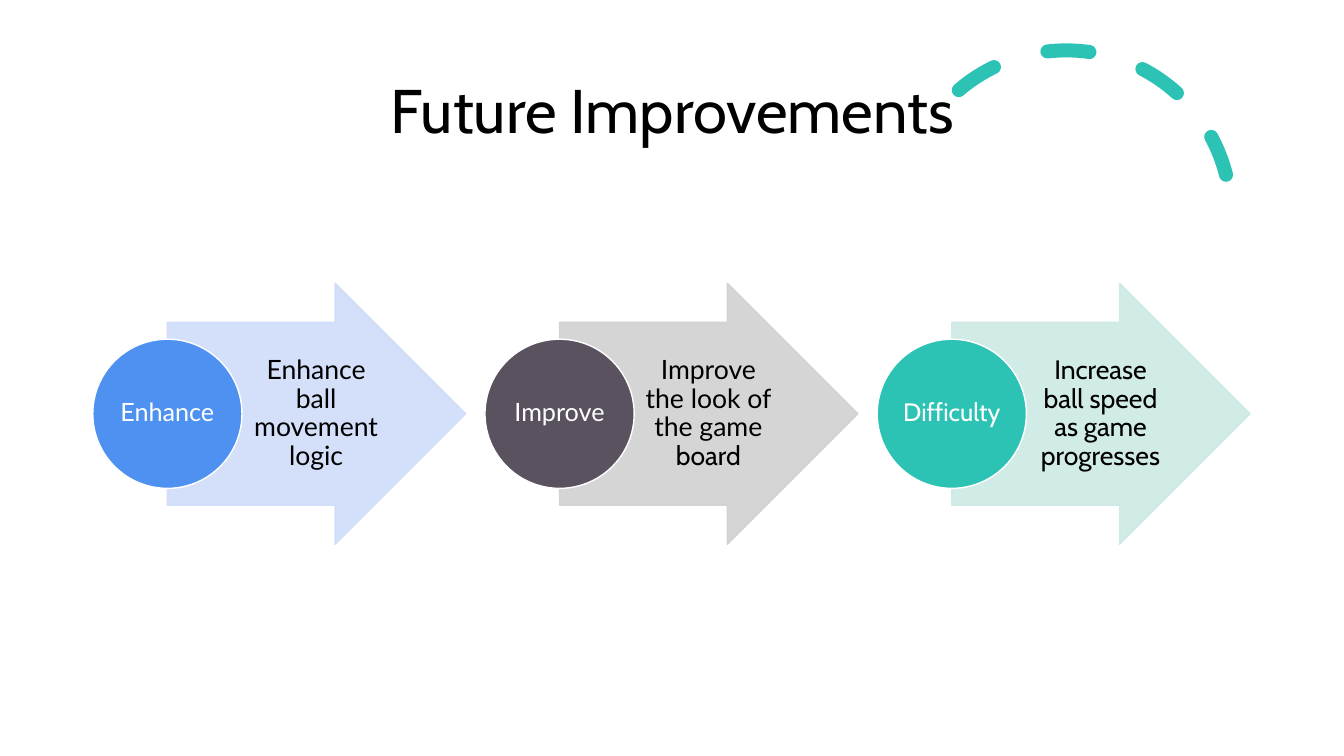
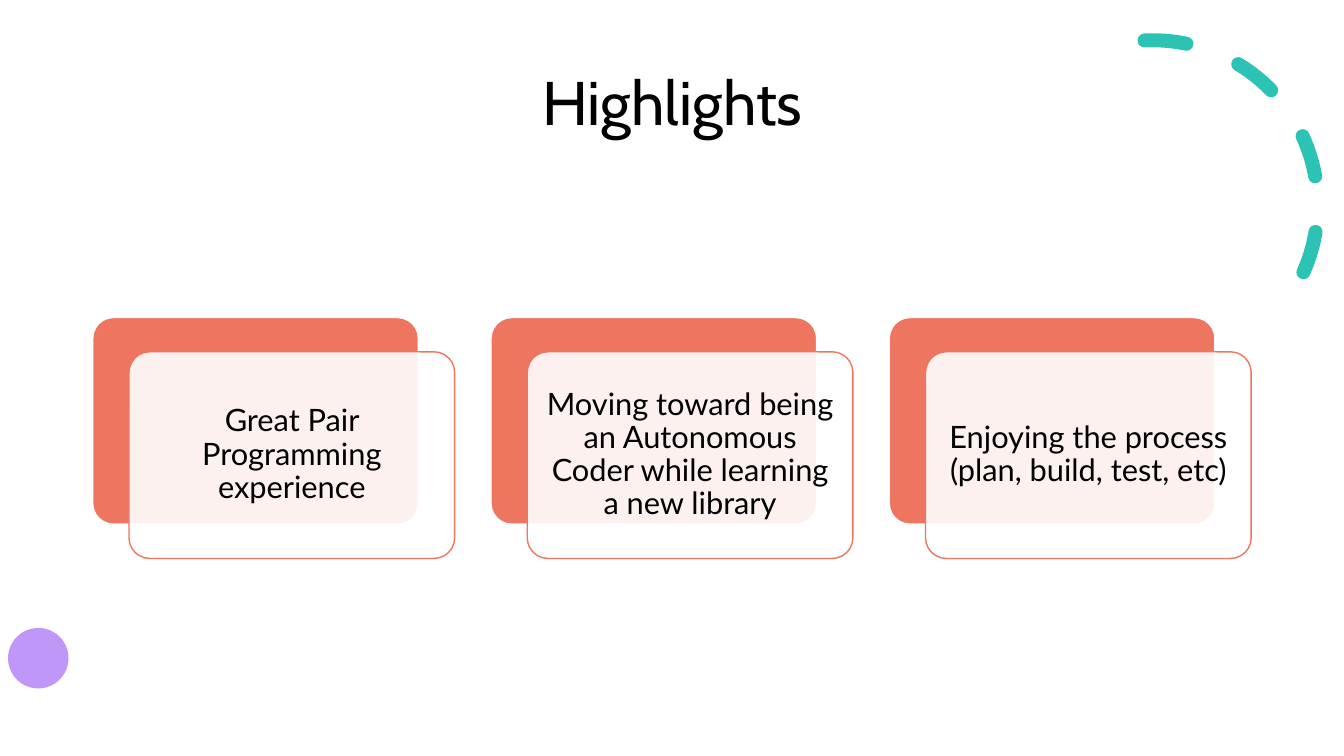
from lxml.etree import SubElement
from pptx import Presentation
from pptx.dml.color import RGBColor
from pptx.enum.dml import MSO_LINE
from pptx.enum.shapes import MSO_SHAPE
from pptx.enum.text import MSO_ANCHOR, PP_ALIGN
from pptx.oxml.ns import qn
from pptx.util import Inches, Pt

COLORS = {
    "black": "000000", "white": "FFFFFF", "teal": "2CC3B4",
    "blue": "4E91F0", "plum": "5B5260", "coral": "EE7661", "lilac": "C097F8",
    "pale blue": "D0DCF9", "pale plum": "D2D1D2", "pale teal": "CDE9E5",
}
HEAD_FONT, BODY_FONT = "Cabin", "Lato"
LEFT = 0.92
CONTENT_WIDTH = 11.5

# circle colour, arrow colour, (label, font), runs of the description
STEPS = [
    ("blue", "pale blue", ("Enhance", BODY_FONT),
     [("Enhance ball movement logic", BODY_FONT)]),
    ("plum", "pale plum", ("Improve", BODY_FONT),
     [("Improve the look of the game ", BODY_FONT), ("board", HEAD_FONT)]),
    ("teal", "pale teal", ("Difficulty", HEAD_FONT),
     [("Increase ball speed as game progresses", HEAD_FONT)]),
]
HIGHLIGHTS = [
    "Great Pair Programming experience",
    "Moving toward being an\u00a0Autonomous Coder while learning a\u00a0new library",
    "Enjoying the process (plan, build,\u00a0test, etc)",
]


def rgb(name):
    return RGBColor.from_string(COLORS[name])


def set_alpha(color_format_parent, percent):
    """Make every solid colour found below the element translucent."""
    for color in color_format_parent.iter(qn("a:srgbClr")):
        SubElement(color, qn("a:alpha")).set("val", str(percent * 1000))


def add_figure(slide, preset, box, fill=None, line=None, width=1, adjust=()):
    figure = slide.shapes.add_shape(preset, *map(Inches, box))
    figure.shadow.inherit = False
    for index, value in enumerate(adjust):
        figure.adjustments[index] = value
    if fill:
        figure.fill.solid()
        figure.fill.fore_color.rgb = rgb(fill)
    else:
        figure.fill.background()
    if line:
        figure.line.color.rgb = rgb(line)
        figure.line.width = Pt(width)
    else:
        figure.line.fill.background()
    return figure


def write(shape, runs, size, color="black", insets=(0.1, 0.05, 0.1, 0.05)):
    """Centred text; runs is a list of (text, font name)."""
    frame = shape.text_frame
    frame.word_wrap = True
    frame.vertical_anchor = MSO_ANCHOR.MIDDLE
    (frame.margin_left, frame.margin_top,
     frame.margin_right, frame.margin_bottom) = map(Inches, insets)
    paragraph = frame.paragraphs[0]
    paragraph.alignment = PP_ALIGN.CENTER
    paragraph.line_spacing = 0.9
    for text, font in runs:
        run = paragraph.add_run()
        run.text = text
        run.font.name = font
        run.font.size = Pt(size)
        run.font.color.rgb = rgb(color)


def add_title(slide, text, top, height):
    title = slide.shapes.add_textbox(
        *map(Inches, (LEFT, top, CONTENT_WIDTH, height)))
    write(title, [(text, HEAD_FONT)], 44)


def add_dashed_arc(slide, left, top, rotation, adjust):
    arc = add_figure(slide, MSO_SHAPE.ARC, (left, top, 3.27, 3.27),
                     line="teal", width=10, adjust=adjust)
    arc.rotation = rotation
    arc.line.dash_style = MSO_LINE.DASH
    arc.line._get_or_add_ln().set("cap", "rnd")


def add_step(slide, left, top, step):
    circle_color, arrow_color, label, description = step
    diameter, height = 1.48, 2.59
    # Arrow starts at the middle of the circle
    arrow = add_figure(slide, MSO_SHAPE.RIGHT_ARROW,
                       (left + diameter / 2, top, 2.96, height),
                       arrow_color, arrow_color, adjust=(0.7, 0.5))
    set_alpha(arrow._element.spPr, 90)
    # Description between circle and arrowhead
    body = slide.shapes.add_textbox(
        *map(Inches, (left + diameter, top + 0.39, 1.45, 1.81)))
    write(body, description, 19, insets=(0.05, 0.01, 0.03, 0.01))
    # Circle with its label
    circle = add_figure(
        slide, MSO_SHAPE.OVAL,
        (left, top + (height - diameter) / 2, diameter, diameter),
        circle_color, "white")
    write(circle, [label], 18, "white", (0.01,) * 4)


def add_highlight(slide, left, top, text):
    width, height = 3.23, 2.05
    add_figure(slide, MSO_SHAPE.ROUNDED_RECTANGLE, (left, top, width, height),
               "coral", "white", adjust=(0.1,))
    card = add_figure(slide, MSO_SHAPE.ROUNDED_RECTANGLE,
                      (left + 0.36, top + 0.34, width, height),
                      "white", "coral", adjust=(0.1,))
    set_alpha(card._element.spPr.find(qn("a:solidFill")), 90)
    write(card, [(text, BODY_FONT)], 22, insets=(0.09,) * 4)


def build_improvements(slide):
    add_dashed_arc(slide, 8.94, 0.5, 345.8, (146.13, 0))
    add_title(slide, "Future Improvements", 0.4, 1.45)
    for index, step in enumerate(STEPS):
        add_step(slide, LEFT + index * 3.89, 2.81, step)


def build_highlights(slide):
    add_dashed_arc(slide, 9.8, 0.4, 357.1, (162, 22.87))
    add_figure(slide, MSO_SHAPE.OVAL, (0.08, 6.23, 0.6, 0.6), "lilac")
    add_title(slide, "Highlights", 0.5, 1.1)
    for index, text in enumerate(HIGHLIGHTS):
        add_highlight(slide, LEFT + index * 3.95, 3.15, text)


presentation = Presentation()
presentation.slide_width = Inches(13.33)
presentation.slide_height = Inches(7.5)
for build in (build_improvements, build_highlights):
    build(presentation.slides.add_slide(presentation.slide_layouts[6]))
presentation.save("out.pptx")
